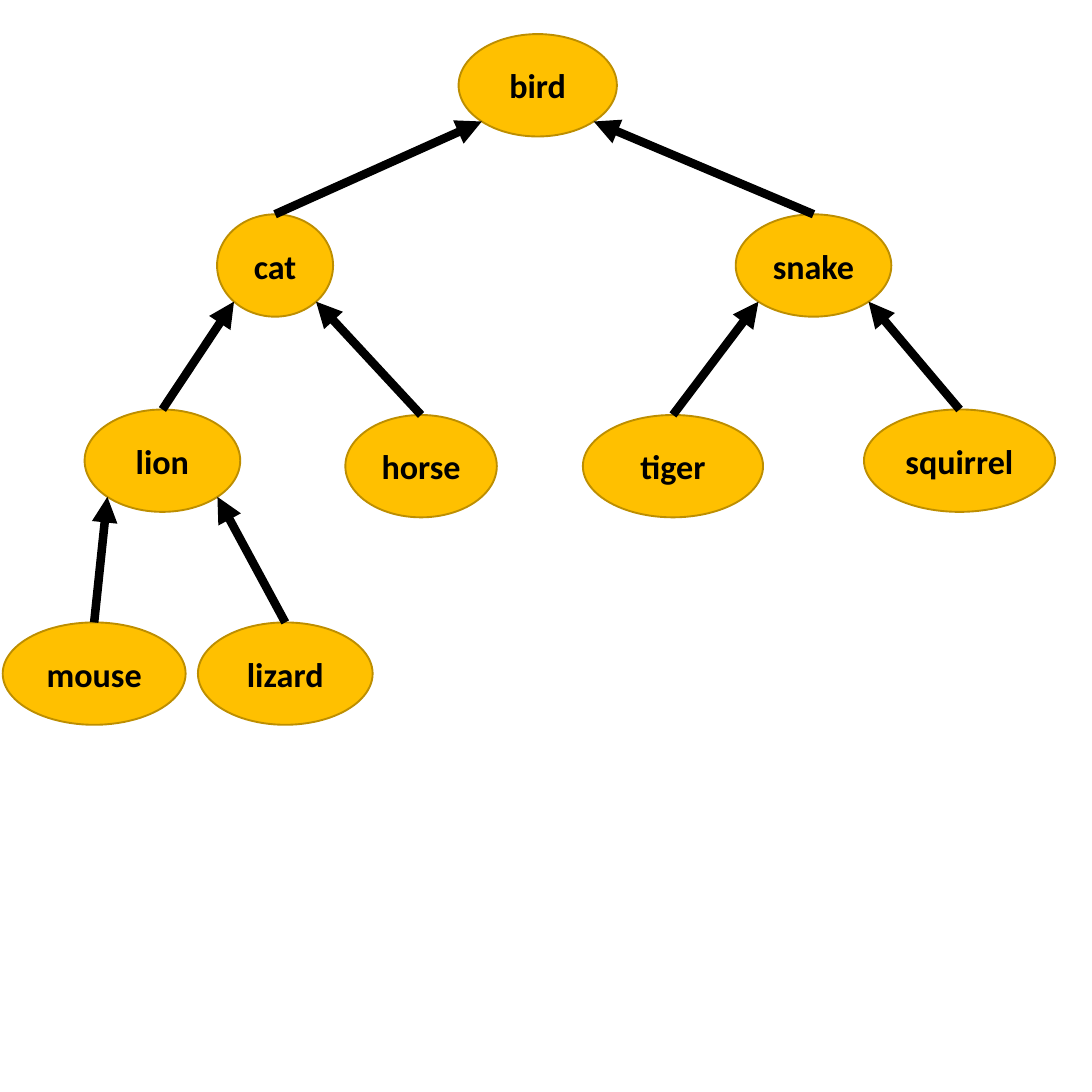
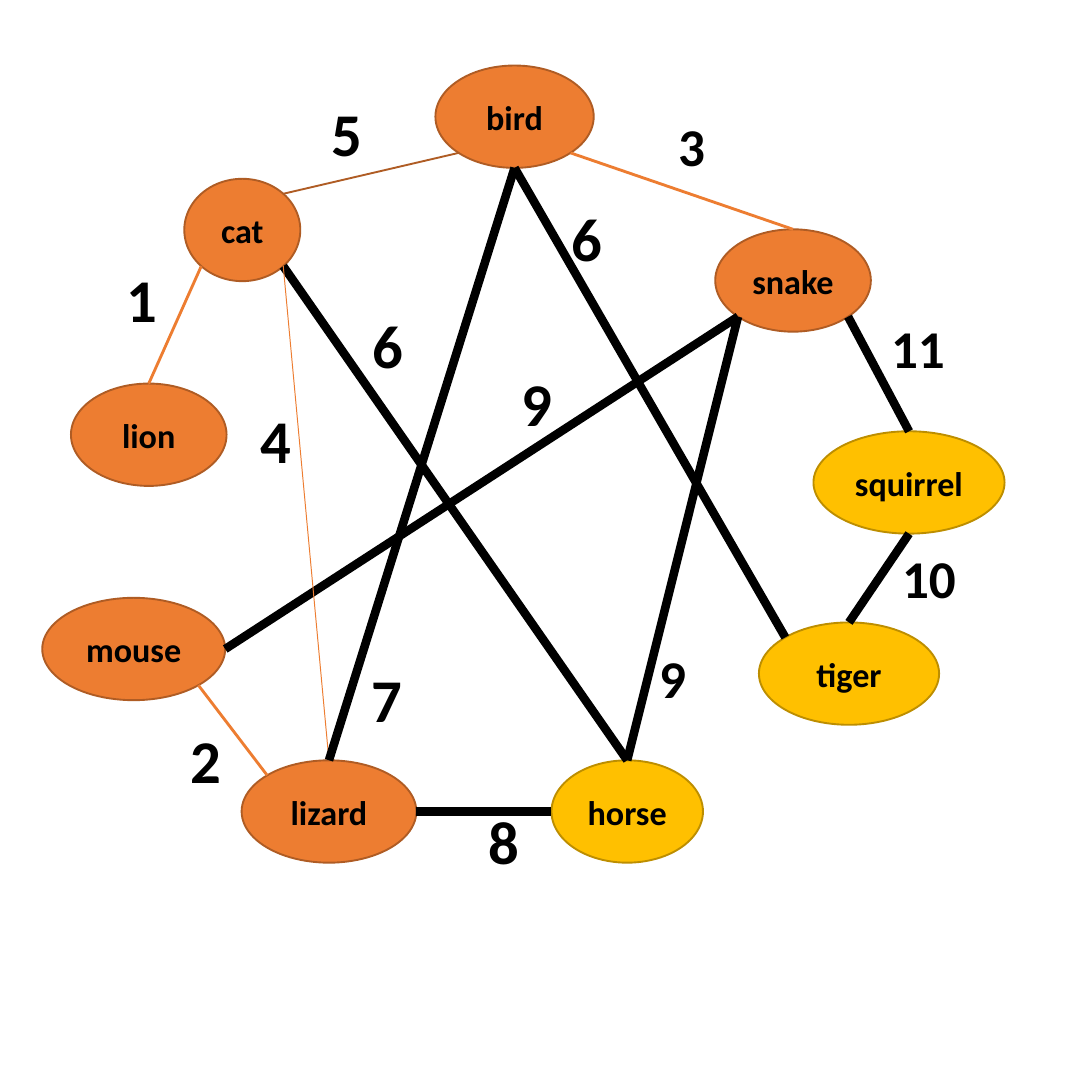
from math import sqrt

from lxml import etree
from pptx import Presentation
from pptx.dml.color import RGBColor
from pptx.enum.shapes import MSO_CONNECTOR, MSO_SHAPE
from pptx.enum.text import MSO_ANCHOR, MSO_AUTO_SIZE, PP_ALIGN
from pptx.oxml.ns import qn
from pptx.util import Inches, Pt

STRAIGHT = MSO_CONNECTOR.STRAIGHT
ELLIPSE = MSO_SHAPE.OVAL
MIDDLE = MSO_ANCHOR.MIDDLE
CENTER = PP_ALIGN.CENTER
GROW = MSO_AUTO_SIZE.SHAPE_TO_FIT_TEXT


class Theme:
    font = "Calibri"
    text = RGBColor.from_string("000000")
    gold = RGBColor.from_string("FFC000")
    gold_edge = RGBColor.from_string("BD8E00")
    orange = RGBColor.from_string("ED7D31")
    orange_edge = RGBColor.from_string("AF5C24")
    node_size, label_size, big_label_size = 18, 28, 32


# Line colour and width in points
HEAVY = (Theme.text, 4.5)
CHOSEN = (Theme.orange, 1.5)
CHOSEN_DARK = (Theme.orange_edge, 1)
CHOSEN_THIN = (Theme.orange, 0.5)

NODE_H = 0.75
NODE_W = {"bird": 1.16, "cat": 0.85, "snake": 1.14, "lion": 1.14,
          "tiger": 1.32, "horse": 1.11, "squirrel": 1.4, "mouse": 1.34,
          "lizard": 1.28}

# Connection sites of an ellipse: index, and offset from its centre in radii
DIAG = sqrt(0.5)
SITES = {"n": (0, 0, -1), "nw": (1, -DIAG, -DIAG), "w": (2, -1, 0),
         "sw": (3, -DIAG, DIAG), "s": (4, 0, 1), "se": (5, DIAG, DIAG),
         "e": (6, 1, 0), "ne": (7, DIAG, -DIAG)}

# Left and top of each node
TREE_NODES = {"bird": (3.36, 0.25), "cat": (1.59, 1.57), "snake": (5.39, 1.57),
              "lion": (0.62, 3), "horse": (2.53, 3.04), "tiger": (4.27, 3.04),
              "squirrel": (6.33, 3), "mouse": (0.02, 4.56),
              "lizard": (1.45, 4.56)}
# Parent: left child, right child
TREE = {"bird": ("cat", "snake"), "cat": ("lion", "horse"),
        "snake": ("tiger", "squirrel"), "lion": ("mouse", "lizard")}

GRAPH_NODES = {"bird": (3.19, 0.48), "cat": (1.35, 1.31), "snake": (5.24, 1.68),
               "lion": (0.52, 2.81), "tiger": (5.56, 4.56),
               "horse": (4.04, 5.57), "squirrel": (5.96, 3.16),
               "mouse": (0.31, 4.38), "lizard": (1.77, 5.57)}
UNVISITED = {"tiger", "horse", "squirrel"}
GRAPH_EDGES = [
    ("bird", "sw", "cat", "ne", CHOSEN_DARK),
    ("bird", "se", "snake", "n", CHOSEN),
    ("snake", "se", "squirrel", "n", HEAVY),
    ("lizard", "e", "horse", "w", HEAVY),
    ("mouse", "se", "lizard", "nw", CHOSEN),
    ("lion", "n", "cat", "sw", CHOSEN),
    ("squirrel", "s", "tiger", "n", HEAVY),
    ("snake", "sw", "mouse", "e", HEAVY),
    ("cat", "se", "horse", "n", HEAVY),
    ("cat", "se", "lizard", "n", CHOSEN_THIN),
    ("bird", "s", "tiger", "nw", HEAVY),
    ("snake", "sw", "horse", "n", HEAVY),
    ("bird", "s", "lizard", "n", HEAVY),
]
# Weight, left, top, width
BIG_WEIGHTS = [("5", 2.33, 0.65, 0.26), ("1", 0.83, 1.87, 0.26),
               ("8", 3.48, 5.84, 0.26), ("4", 1.81, 2.9, 0.26),
               ("9", 3.72, 2.63, 0.26), ("2", 1.3, 5.25, 0.26),
               ("7", 2.62, 4.8, 0.26), ("6", 2.63, 2.21, 0.26),
               ("6", 4.09, 1.42, 0.26)]
WEIGHTS = [("3", 4.87, 0.78, 0.26), ("9", 4.73, 4.68, 0.26),
           ("11", 6.43, 2.26, 0.69), ("10", 6.51, 3.95, 0.62)]


def write(sp, text, size, **frame):
    """Put one bold run in the shape; frame holds text frame settings."""
    tf = sp.text_frame
    for name, value in frame.items():
        setattr(tf, name, value)
    r = tf.paragraphs[0].add_run()
    r.text = text
    for name, value in {"name": Theme.font, "size": Pt(size), "bold": True}.items():
        setattr(r.font, name, value)
    r.font.color.rgb = Theme.text


def add_node(s, name, left, top, fill, edge):
    box = map(Inches, (left, top, NODE_W[name], NODE_H))
    sp = s.shapes.add_shape(ELLIPSE, *box)
    sp.shadow.inherit = False
    sp.fill.solid()
    sp.fill.fore_color.rgb = fill
    sp.line.color.rgb = edge
    sp.line.width = Pt(1)
    write(sp, name, Theme.node_size, word_wrap=False, vertical_anchor=MIDDLE)
    sp.text_frame.paragraphs[0].alignment = CENTER
    return sp


def site_point(sp, site):
    _, dx, dy = SITES[site]
    return (round(sp.left + sp.width * (1 + dx) / 2),
            round(sp.top + sp.height * (1 + dy) / 2))


def add_edge(s, start, start_site, end, end_site, style, arrow=False):
    """Join two nodes at named sites; an arrow points at the start."""
    cxn = s.shapes.add_connector(STRAIGHT, *site_point(start, start_site),
                                 *site_point(end, end_site))
    color, width = style
    cxn.line.color.rgb = color
    cxn.line.width = Pt(width)
    el = cxn._element
    ends = el.find(".//" + qn("p:cNvCxnSpPr"))
    for tag, sp, site in (("a:stCxn", start, start_site), ("a:endCxn", end, end_site)):
        etree.SubElement(ends, qn(tag), id=str(sp.shape_id), idx=str(SITES[site][0]))
    if arrow:
        etree.SubElement(el.spPr.find(qn("a:ln")), qn("a:headEnd"), type="triangle")
    etree.SubElement(el.spPr, qn("a:effectLst"))


def add_weights(s, weights, size):
    for text, left, top, width in weights:
        box = map(Inches, (left, top, width, size / 50))
        write(s.shapes.add_textbox(*box), text, size, word_wrap=True, auto_size=GROW)


def build_tree(s):
    nodes = {name: add_node(s, name, *at, Theme.gold, Theme.gold_edge)
             for name, at in TREE_NODES.items()}
    for parent, children in TREE.items():
        for site, child in zip(("sw", "se"), children):
            add_edge(s, nodes[parent], site, nodes[child], "n", HEAVY, arrow=True)


def build_graph(s):
    nodes = {}
    for name, at in GRAPH_NODES.items():
        colors = ((Theme.gold, Theme.gold_edge) if name in UNVISITED
                  else (Theme.orange, Theme.orange_edge))
        nodes[name] = add_node(s, name, *at, *colors)
    for start, start_site, end, end_site, style in GRAPH_EDGES:
        add_edge(s, nodes[start], start_site, nodes[end], end_site, style)
    add_weights(s, BIG_WEIGHTS, Theme.big_label_size)
    add_weights(s, WEIGHTS, Theme.label_size)


def main():
    prs = Presentation()
    prs.slide_width = prs.slide_height = Inches(8)
    blank = prs.slide_layouts[6]
    for build in (build_tree, build_graph):
        build(prs.slides.add_slide(blank))
    prs.save("out.pptx")


if __name__ == "__main__":
    main()
